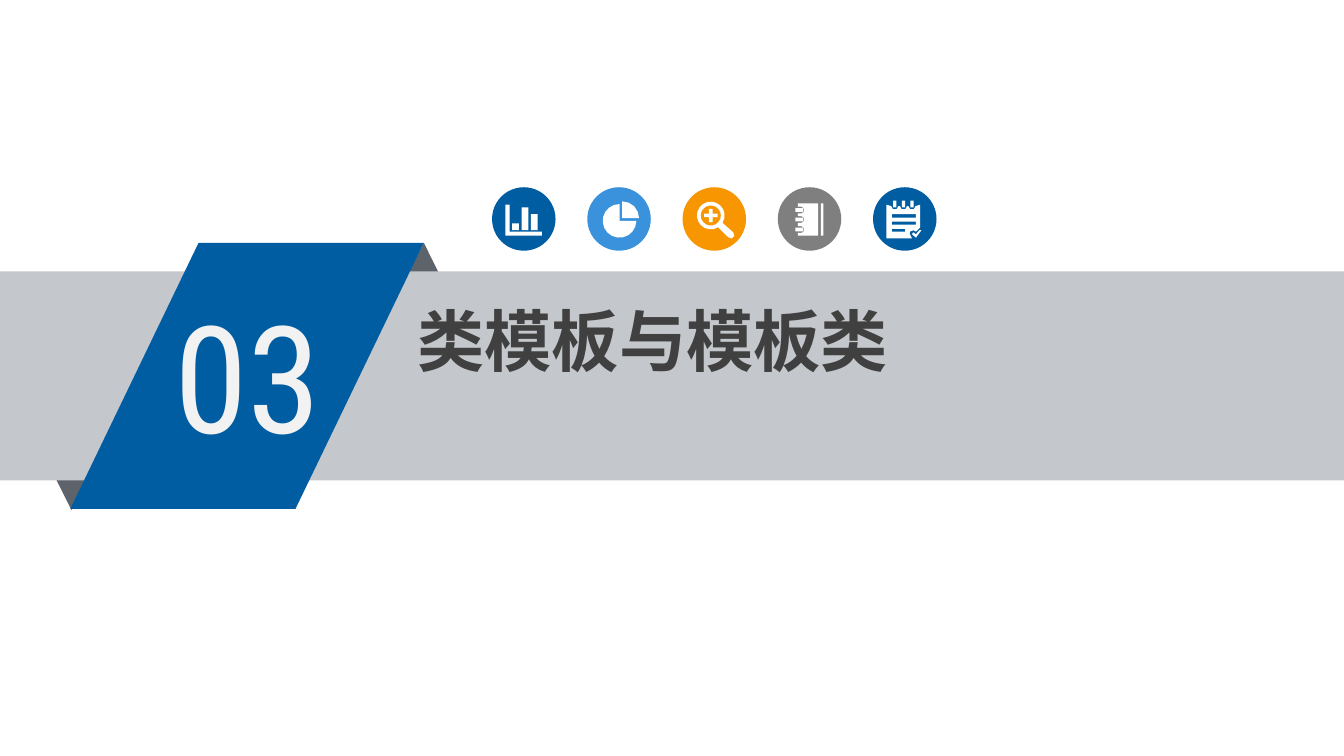
"""Build a section slide with a folded ribbon, a title and a row of icons."""
import math
from lxml import etree
from pptx import Presentation
from pptx import util as u
from pptx.dml.color import RGBColor
from pptx.enum import shapes, text
from pptx.oxml.ns import qn

BLUE, SKY, AMBER, GREY = "005DA2", "3992DB", "F79600", "7F7F7F"
BAND, FOLD, WHITE = "C4C7CB", "5D636A", "FFFFFF"
UNIT = u.Cm(2.54) / 100
FINE = 100


def color(code):
    """Turn a hex string into a colour."""
    return RGBColor.from_string(code)


def paint(shape, fill):
    """Give a shape a flat fill without line or shadow."""
    shape.shadow.inherit = False
    shape.fill.solid()
    shape.fill.fore_color.rgb = color(fill)
    shape.line.fill.background()
    return shape


def block(parent, kind, box, fill):
    """Add a preset shape with its box in centimetres."""
    return paint(parent.add_shape(kind, *map(u.Cm, box)), fill)


def label(parent, box, words, size, font, fill, bold=False):
    """Add a line of text."""
    shape = parent.add_textbox(*map(u.Cm, box))
    frame = shape.text_frame
    frame.word_wrap = True
    frame.auto_size = text.MSO_AUTO_SIZE.SHAPE_TO_FIT_TEXT
    frame.margin_left = frame.margin_right = u.Cm(0.19)
    frame.margin_top = frame.margin_bottom = u.Cm(0.1)
    frame.text = words
    run = frame.paragraphs[0].runs[0]
    run.font.size, run.font.name, run.font.bold = u.Pt(size), font, bold
    run.font.color.rgb = color(fill)
    etree.SubElement(run._r.get_or_add_rPr(), qn("a:ea")).set("typeface", font)


def arc(x, y, r, start, end):
    """List points on an arc, coarser for a small radius."""
    step = 20 if r > 5 else 60
    count = max(1, round(abs(end - start) / step))
    turns = [math.radians(start + (end - start) * i / count) for i in range(count + 1)]
    return [(x + r * math.cos(t), y + r * math.sin(t)) for t in turns]


def bar(x, y, w, h):
    """List the corners of a rectangle."""
    return [(x, y), (x + w, y), (x + w, y + h), (x, y + h)]


def chart():
    """Outline a bar chart with its axes."""
    axes = [(10, 13), (13, 13), (13, 33), (37, 33), (37, 36), (10, 36)]
    return [axes, bar(15, 27, 5, 5), bar(22, 15, 5, 17), bar(29, 20, 5, 12)]


def pie():
    """Outline a pie with one slice pulled out."""
    return [[(26, 23)] + arc(26, 23, 12.5, -90, 0), [(24, 25)] + arc(24, 25, 12.5, 0, 270)]


def lens():
    """Outline a magnifier with a plus sign."""
    rim = arc(21, 21, 10.3, 58, 392) + arc(36, 35.5, 2.6, -45, 135)
    plus = [(16, 19.7), (19.7, 19.7), (19.7, 16), (22.3, 16), (22.3, 19.7), (26, 19.7),
            (26, 22.3), (22.3, 22.3), (22.3, 26), (19.7, 26), (19.7, 22.3), (16, 22.3)]
    return [rim, arc(21, 21, 7.5, 0, 340), plus]


def book():
    """Outline a ring-bound notebook."""
    rows = (17, 24, 31.5)
    page = [(30, 12), (15, 12)]
    for y in rows:
        page += [(15, y - 2.5)] + arc(17.5, y, 2.5, -90, 90) + [(15, y + 2.5)]
    page += [(15, 36), (30, 36)]
    return [page, bar(32, 12, 2, 24)] + [bar(13, y - 1.4, 6, 2.8) for y in rows]


def notes():
    """Outline a notepad with a tick."""
    rings = (16.2, 22.7, 29)
    page = [(10, 13)]
    for x in rings:
        page += arc(x, 14, 2.7, 180, 0)
    page += [(35, 13), (35, 30), (32, 33), (30, 32), (27.5, 33), (27.5, 35), (29, 38), (10, 38)]
    lines = [bar(14, 20, 18, 2.6), bar(14, 25.5, 18, 2.4), bar(14, 31, 10, 2)]
    tick = [(36, 32), (32, 37.5), (29, 35), (30, 33.5), (32, 35), (34.5, 32)]
    return [page, tick] + lines + [bar(x - 1.2, 10, 2.4, 5) for x in rings]


def draw(parent, left, top, paths, fill):
    """Add one freeform made of closed outlines."""
    fine = [[(x * FINE, y * FINE) for x, y in path] for path in paths]
    form = parent.build_freeform(*fine[0][0], scale=UNIT / FINE)
    form.add_line_segments(fine[0][1:], close=True)
    for path in fine[1:]:
        form.move_to(*path[0])
        form.add_line_segments(path[1:], close=True)
    paint(form.convert_to_shape(u.Cm(left), u.Cm(top)), fill)


def ribbon(parent):
    """Add the band, the folded ribbon and its number."""
    kind = shapes.MSO_SHAPE
    block(parent, kind.ISOSCELES_TRIANGLE, (6.86, 4.59, 2.3, 2.31), FOLD)
    block(parent, kind.ISOSCELES_TRIANGLE, (0.2, 7.33, 2.3, 2.31), FOLD).rotation = 180
    block(parent, kind.RECTANGLE, (0, 5.13, 25.4, 3.95), BAND)
    flag = block(parent, kind.PARALLELOGRAM, (1.33, 4.59, 6.68, 5.03), BLUE)
    flag.adjustments[0] = 0.482
    label(parent, (3.1, 5.28, 3.68, 3.6), "03", 80, "Roboto Condensed", "F2F2F2")


def icons(parent):
    """Add the row of round icons."""
    row = [(chart, BLUE), (pie, SKY), (lens, AMBER), (book, GREY), (notes, BLUE)]
    for i, (icon, fill) in enumerate(row):
        left, top = 9.3 + 1.8 * i, 3.54
        group = parent.add_group_shape().shapes
        block(group, shapes.MSO_SHAPE.OVAL, (left, top, 1.2, 1.2), fill)
        draw(group, left, top, icon(), WHITE)


def main():
    """Build and save the slide."""
    deck = Presentation()
    deck.slide_width, deck.slide_height = u.Cm(25.4), u.Cm(14.29)
    slide = deck.slides.add_slide(deck.slide_layouts[6])
    ribbon(slide.shapes.add_group_shape().shapes)
    label(slide.shapes, (7.7, 5.56, 13.82, 1.73), "类模板与模板类", 36,
          "Noto Sans CJK SC", "404040", True)
    icons(slide.shapes)
    deck.save("out.pptx")


if __name__ == "__main__":
    main()
